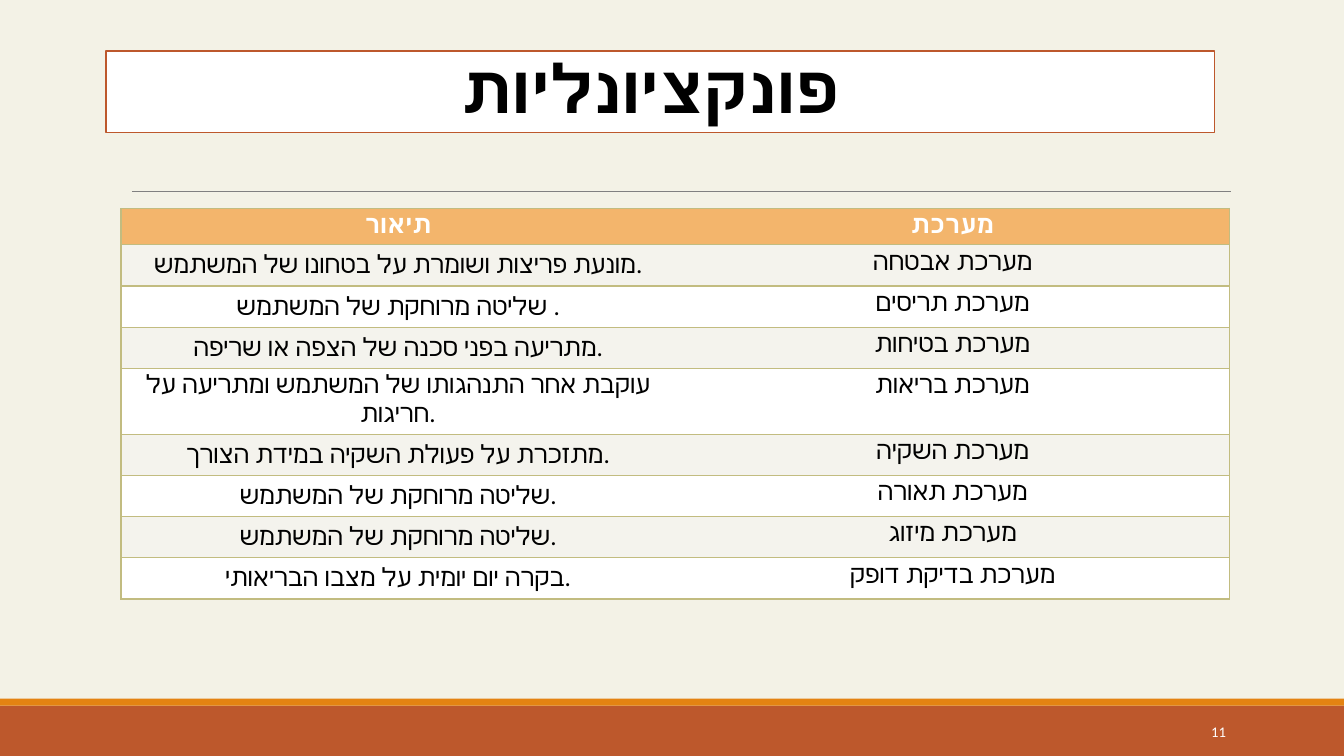
from dataclasses import dataclass

from lxml import etree
from pptx import Presentation
from pptx.dml.color import RGBColor
from pptx.enum.shapes import MSO_CONNECTOR, MSO_SHAPE
from pptx.enum.text import MSO_ANCHOR, PP_ALIGN
from pptx.oxml.ns import qn
from pptx.slide import Slide
from pptx.table import _Cell
from pptx.text.text import TextFrame
from pptx.util import Pt

RECTANGLE = MSO_SHAPE.RECTANGLE
STRAIGHT = MSO_CONNECTOR.STRAIGHT
CENTER, RIGHT = PP_ALIGN.CENTER, PP_ALIGN.RIGHT
MIDDLE, BOTTOM = MSO_ANCHOR.MIDDLE, MSO_ANCHOR.BOTTOM

FONT = "Calibri"
COLORS = {
    "page": "F3F2E6",
    "rust": "BD582C",
    "orange": "E48312",
    "rule": "808080",
    "border": "C2BC80",
    "header": "F3B56C",
    "band": "F4F3ED",
    "white": "FFFFFF",
    "black": "000000",
}
PAGE_WIDTH, PAGE_HEIGHT = 960, 540
TABLE_LEFT, TABLE_TOP, TABLE_WIDTH = 86.4, 149, 792
HEADER_HEIGHT, ROW_HEIGHT = 25.9, 29.4
NO_STYLE = "{2D5ABB26-0587-4C30-8999-92F81FD0307C}"


@dataclass(frozen=True)
class Panel:
    left: float
    top: float
    width: float
    height: float
    fill: str
    border: str = ""


@dataclass(frozen=True)
class TextStyle:
    size: float
    color: str
    bold: bool = False
    align: PP_ALIGN = CENTER


@dataclass(frozen=True)
class SystemRow:
    description: str
    system: str


FOOTER_PANELS = [
    Panel(0, 504, PAGE_WIDTH, 36, "rust"),
    Panel(0, 499, PAGE_WIDTH, 5, "orange"),
]
TITLE_PANEL = Panel(75.6, 36.3, 792, 58.3, "white", "rust")
TITLE_STYLE = TextStyle(48, "black", True)
HEADER_STYLE = TextStyle(18, "white", True)
BODY_STYLE = TextStyle(18, "black")
NUMBER_STYLE = TextStyle(10.5, "white", align=RIGHT)

ROWS = [
    SystemRow("תיאור", "מערכת"),
    SystemRow("מונעת פריצות ושומרת על בטחונו של המשתמש.", "מערכת אבטחה"),
    SystemRow("שליטה מרוחקת של המשתמש .", "מערכת תריסים"),
    SystemRow("מתריעה בפני סכנה של הצפה או שריפה.", "מערכת בטיחות"),
    SystemRow("עוקבת אחר התנהגותו של המשתמש ומתריעה על חריגות.", "מערכת בריאות"),
    SystemRow("מתזכרת על פעולת השקיה במידת הצורך.", "מערכת השקיה"),
    SystemRow("שליטה מרוחקת של המשתמש.", "מערכת תאורה"),
    SystemRow("שליטה מרוחקת של המשתמש.", "מערכת מיזוג"),
    SystemRow("בקרה יום יומית על מצבו הבריאותי.", "מערכת בדיקת דופק"),
]


def color(name: str) -> RGBColor:
    return RGBColor.from_string(COLORS[name])


def write(frame: TextFrame, text: str, style: TextStyle) -> None:
    frame.text = text
    frame.word_wrap = True
    para = frame.paragraphs[0]
    para.alignment = style.align
    for span in para.runs:
        span.font.name = FONT
        span.font.size = Pt(style.size)
        span.font.bold = style.bold
        span.font.color.rgb = color(style.color)


def add_panel(page: Slide, panel: Panel) -> TextFrame:
    shape = page.shapes.add_shape(
        RECTANGLE, Pt(panel.left), Pt(panel.top), Pt(panel.width), Pt(panel.height)
    )
    shape.shadow.inherit = False
    shape.fill.solid()
    shape.fill.fore_color.rgb = color(panel.fill)
    if panel.border:
        shape.line.color.rgb = color(panel.border)
        shape.line.width = Pt(1.25)
    else:
        shape.line.fill.background()
    return shape.text_frame


def add_title(page: Slide) -> None:
    frame = add_panel(page, TITLE_PANEL)
    write(frame, "פונקציונליות ", TITLE_STYLE)
    frame.vertical_anchor = BOTTOM
    para = frame.paragraphs[0]
    para.line_spacing = 0.85
    for span in para.runs:
        span.font._element.set("spc", "-50")


def add_rule(page: Slide) -> None:
    rule = page.shapes.add_connector(STRAIGHT, Pt(94.3), Pt(136.8), Pt(879), Pt(136.8))
    rule.line.color.rgb = color("rule")
    rule.line.width = Pt(0.5)
    etree.SubElement(rule._element.spPr, qn("a:effectLst"))


def set_borders(cell: _Cell, drawn_sides: str) -> None:
    properties = cell._tc.get_or_add_tcPr()
    for position, side in enumerate("LRTB"):
        line = etree.Element(qn(f"a:ln{side}"), w=str(Pt(1)))
        if side in drawn_sides:
            fill = etree.SubElement(line, qn("a:solidFill"))
            etree.SubElement(fill, qn("a:srgbClr"), val=COLORS["border"])
        else:
            etree.SubElement(line, qn("a:noFill"))
        properties.insert(position, line)


def add_systems_table(page: Slide) -> None:
    height = HEADER_HEIGHT + ROW_HEIGHT * (len(ROWS) - 1)
    table = page.shapes.add_table(
        len(ROWS), 2, Pt(TABLE_LEFT), Pt(TABLE_TOP), Pt(TABLE_WIDTH), Pt(height)
    ).table
    table.first_row = False
    table.horz_banding = False
    table._tbl.tblPr.find(qn("a:tableStyleId")).text = NO_STYLE
    for index, row in enumerate(ROWS):
        is_header = index == 0
        table.rows[index].height = Pt(HEADER_HEIGHT if is_header else ROW_HEIGHT)
        fill = "header" if is_header else ("band" if index % 2 else "white")
        style = HEADER_STYLE if is_header else BODY_STYLE
        for column, (text, sides) in enumerate([(row.description, "LTB"), (row.system, "RTB")]):
            cell = table.cell(index, column)
            write(cell.text_frame, text, style)
            cell.fill.solid()
            cell.fill.fore_color.rgb = color(fill)
            set_borders(cell, sides)


def add_page_number(page: Slide) -> None:
    box = page.shapes.add_textbox(Pt(779.8), Pt(508.3), Pt(103), Pt(28.8))
    write(box.text_frame, "11", NUMBER_STYLE)
    box.text_frame.vertical_anchor = MIDDLE


def main() -> None:
    deck = Presentation()
    deck.slide_width, deck.slide_height = Pt(PAGE_WIDTH), Pt(PAGE_HEIGHT)
    page = deck.slides.add_slide(deck.slide_layouts[6])
    page.background.fill.solid()
    page.background.fill.fore_color.rgb = color("page")
    for panel in FOOTER_PANELS:
        add_panel(page, panel)
    add_rule(page)
    add_title(page)
    add_systems_table(page)
    add_page_number(page)
    deck.save("out.pptx")


if __name__ == "__main__":
    main()
